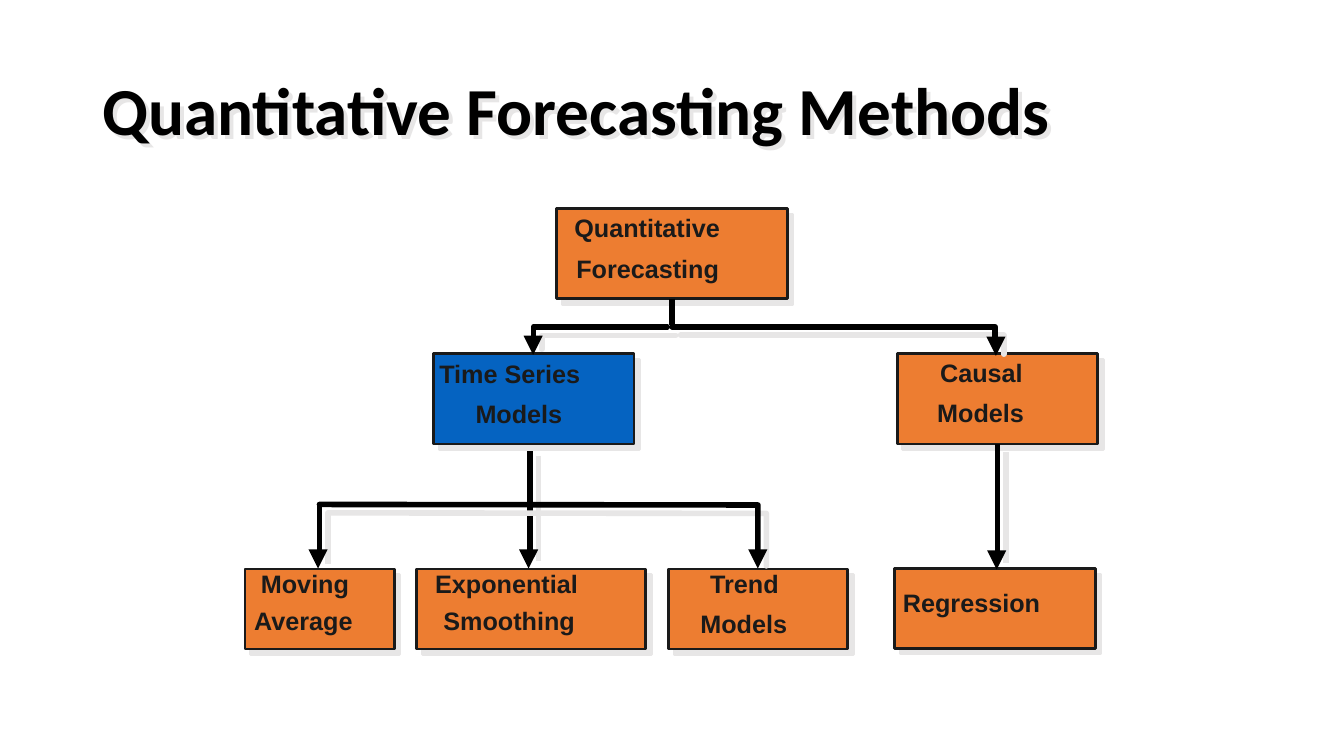
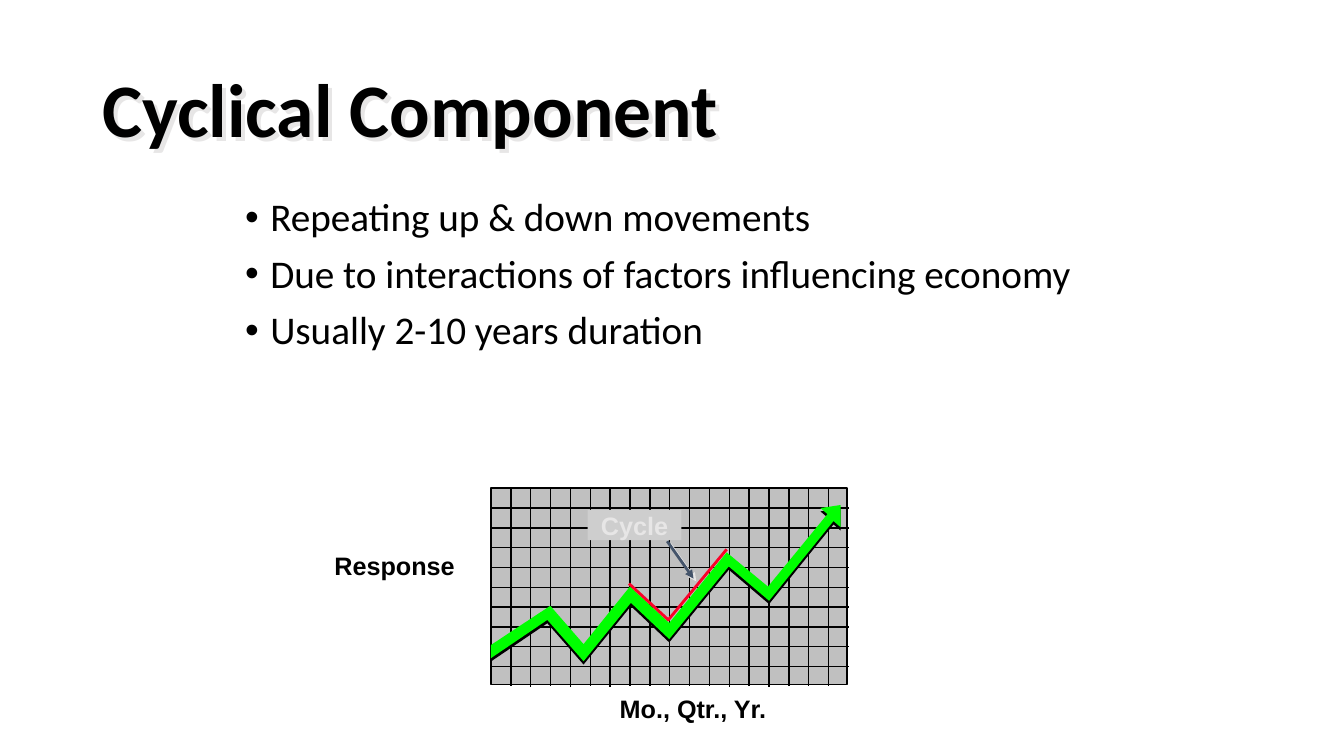
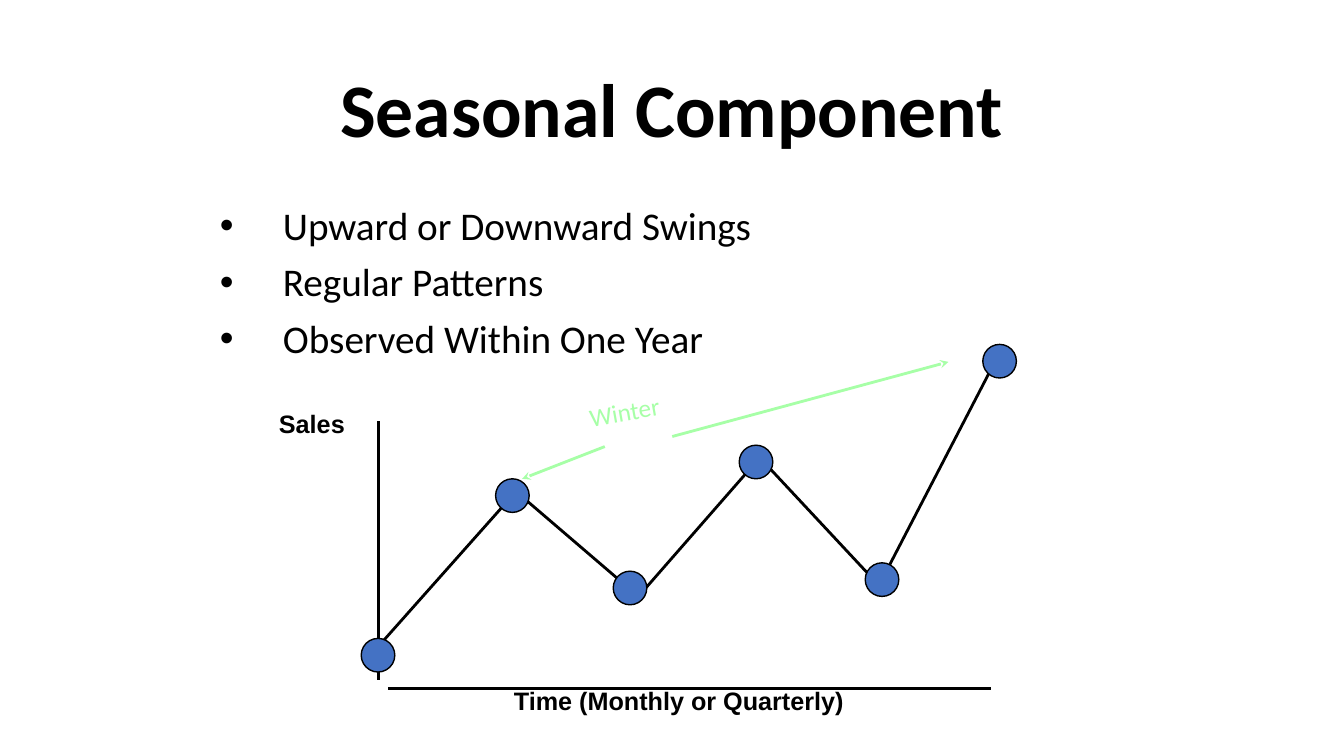
from dataclasses import dataclass, replace
from typing import NamedTuple, Optional, Sequence

from lxml import etree
from pptx import Presentation
from pptx.dml.color import RGBColor
from pptx.enum.shapes import MSO_CONNECTOR, MSO_SHAPE
from pptx.enum.text import MSO_ANCHOR, PP_ALIGN
from pptx.oxml.ns import qn
from pptx.util import Pt

STRAIGHT = MSO_CONNECTOR.STRAIGHT
RECTANGLE, OVAL = MSO_SHAPE.RECTANGLE, MSO_SHAPE.OVAL
DOWN_TRIANGLE = MSO_SHAPE.FLOWCHART_MERGE
LEFT, CENTER = PP_ALIGN.LEFT, PP_ALIGN.CENTER
TOP, MIDDLE = MSO_ANCHOR.TOP, MSO_ANCHOR.MIDDLE
BOTTOM_SIDE = 2


class Point(NamedTuple):
    x: float
    y: float


class Frame(NamedTuple):
    left: float
    top: float
    width: float
    height: float


class BoxLine(NamedTuple):
    text: str
    left: float
    top: float
    width: float


@dataclass(frozen=True)
class Style:
    font: str
    size: float
    color: RGBColor
    bold: bool = False


@dataclass(frozen=True)
class Theme:
    black: RGBColor = RGBColor(0x00, 0x00, 0x00)
    ink: RGBColor = RGBColor(0x1A, 0x1A, 0x1A)
    shadow: RGBColor = RGBColor(0xE7, 0xE6, 0xE6)
    orange: RGBColor = RGBColor(0xED, 0x7D, 0x31)
    focus: RGBColor = RGBColor(0x05, 0x63, 0xC1)
    dot: RGBColor = RGBColor(0x44, 0x72, 0xC4)
    plot: RGBColor = RGBColor(0xC0, 0xC0, 0xC0)
    tag: RGBColor = RGBColor(0xCE, 0xCE, 0xCE)
    trend: RGBColor = RGBColor(0x00, 0xFF, 0x00)
    cycle: RGBColor = RGBColor(0xFC, 0x01, 0x28)
    pointer: RGBColor = RGBColor(0x44, 0x54, 0x6A)
    winter: RGBColor = RGBColor(0xA7, 0xFF, 0xA7)
    heading: str = "Calibri"
    label: str = "Arial"
    title_size: float = 54
    long_title_size: float = 48
    body_size: float = 28
    label_size: float = 18
    title_shadow: float = 4
    box_shadow: float = 5.7
    line_shadow: float = 8.5
    pointer_shadow: float = 2.8


THEME = Theme()
TITLE = Style(THEME.heading, THEME.title_size, THEME.black, bold=True)
BODY = Style(THEME.heading, THEME.body_size, THEME.black)
LABEL = Style(THEME.label, THEME.label_size, THEME.black, bold=True)
BOX_LABEL = replace(LABEL, color=THEME.ink)
TITLE_FRAME = Frame(66, 28.8, 828, 104.4)
LABEL_HEIGHT = 29


@dataclass(frozen=True)
class MethodBox:
    frame: Frame
    lines: Sequence[BoxLine]
    fill: RGBColor = THEME.orange


ROOT = MethodBox(Frame(397.4, 149, 165, 64.5), (
    BoxLine("Quantitative", 403.2, 148.3, 119.5),
    BoxLine("Forecasting", 404.6, 177.3, 117.4)))
TIME_SERIES = MethodBox(Frame(309.6, 252.7, 143.3, 64.5), (
    BoxLine("Time Series", 306.7, 252.3, 115.9),
    BoxLine("Models", 332.6, 280.9, 77)), THEME.focus)
CAUSAL = MethodBox(Frame(640.8, 252.7, 143.3, 64.5), (
    BoxLine("Causal", 664.5, 252, 74.2),
    BoxLine("Models", 662.4, 280.3, 77)))
LEAVES = (
    MethodBox(Frame(175, 406.5, 106.6, 57.2), (
        BoxLine("Moving", 179.3, 402.5, 77.8),
        BoxLine("Average", 174.4, 429.1, 85.7))),
    MethodBox(Frame(297.7, 406.5, 163.5, 57.2), (
        BoxLine("Exponential", 303.8, 402.5, 117.4),
        BoxLine("Smoothing", 309.6, 429.1, 109.4))),
    MethodBox(Frame(477.4, 406.5, 128.2, 57.2), (
        BoxLine("Trend", 500.2, 402.5, 64.1),
        BoxLine("Models", 493.2, 430.8, 77))),
    MethodBox(Frame(639, 406, 143.3, 57.2), (
        BoxLine("Regression", 637.9, 416.2, 113),)),
)

HEAD_SIZE = 13.7
HEAD_TIPS = (Point(380.8, 253.5), Point(711.4, 254.2), Point(227.2, 406.1),
             Point(377.6, 406.1), Point(541.3, 406.1), Point(711.9, 406.8))
BRANCHES = (
    (Point(480.2, 233.5), Point(711, 233.5), Point(711, 247)),
    (Point(476.6, 233.5), Point(381, 233.5), Point(381, 243.4)),
    (Point(228.2, 360.3), Point(541.4, 360.7), Point(541.4, 398.2)),
)

PLOT = Frame(350.8, 348.7, 254.2, 140.4)
COLUMN_STEP, ROW_STEP = 14.18, 14.16
LONG_COLUMNS = {2, 4, 6, 12, 14}
TREND_ARROW = tuple(Point(x, y) for x, y in (
    (350.6, 460.8), (393.1, 432.7), (416.9, 460.1), (450, 419), (478.1, 445),
    (519.1, 394.6), (548.6, 419), (591.1, 367.2), (586.1, 362.9), (600.5, 360.7),
    (600.5, 376.6), (595.4, 372.2), (549.4, 429.1), (520.6, 404.6), (478.1, 456.5),
    (450.7, 430.6), (416.9, 472.3), (391, 442.8), (350.6, 470.2)))
TREND_DROP = 2.4

DOT_SIZE = 24
SEASONS = (Point(270, 468), Point(366, 354), Point(450, 420),
           Point(540, 330), Point(630, 414), Point(714, 258))
AXES = ((Point(270.2, 301), Point(270.2, 486)), (Point(277.2, 492), Point(708, 492)))
SEASON_LINES = (
    (Point(270, 462), Point(366, 354)),
    (Point(372, 354), Point(456, 426)),
    (Point(456.5, 425.5), Point(540, 330)),
    (Point(540, 324), Point(624, 414)),
    (Point(630, 414), Point(714, 252)),
)


def points(values: Sequence[float]) -> list:
    return [Pt(value) for value in values]


def set_shadow(shape, distance: float) -> None:
    """Give a shape a hard shadow to the lower right, or none at distance 0."""
    effects = etree.SubElement(shape._element.spPr, qn("a:effectLst"))
    if distance:
        shadow = etree.SubElement(effects, qn("a:outerShdw"), dist=str(int(Pt(distance))),
                                  dir="2700000", algn="ctr", rotWithShape="0")
        etree.SubElement(shadow, qn("a:srgbClr"), val=str(THEME.shadow))


def paint(shape, fill: Optional[RGBColor], line: Optional[RGBColor] = None,
          weight: float = 1, shadow: float = 0) -> None:
    if fill is None:
        shape.fill.background()
    else:
        shape.fill.solid()
        shape.fill.fore_color.rgb = fill
    if line is None:
        shape.line.fill.background()
    else:
        shape.line.color.rgb = line
        shape.line.width = Pt(weight)
    set_shadow(shape, shadow)


def add_box(shapes, kind, frame: Frame, fill: RGBColor, line: Optional[RGBColor] = None,
            weight: float = 1, shadow: float = 0):
    box = shapes.add_shape(kind, *points(frame))
    paint(box, fill, line, weight, shadow)
    return box


def add_outline(shapes, corners: Sequence[Point], closed: bool = False):
    start, *others = [tuple(points(corner)) for corner in corners]
    builder = shapes.build_freeform(*start)
    builder.add_line_segments(others, close=closed)
    return builder.convert_to_shape()


def add_branch(shapes, corners: Sequence[Point]) -> None:
    """Draw a bent line with round ends and corners."""
    branch = add_outline(shapes, corners)
    paint(branch, None, THEME.black, 4, THEME.line_shadow)
    line = branch.line._get_or_add_ln()
    line.set("cap", "rnd")
    etree.SubElement(line, qn("a:round"))


def add_line(shapes, start: Point, end: Point, color: RGBColor = THEME.black,
             weight: float = 2, shadow: float = 0, arrow: str = ""):
    line = shapes.add_connector(STRAIGHT, *points(start), *points(end))
    line.line.color.rgb = color
    line.line.width = Pt(weight)
    if arrow:
        etree.SubElement(line.line._get_or_add_ln(), qn("a:tailEnd"), type=arrow)
    set_shadow(line, shadow)
    return line


def add_span(para, text: str, style: Style) -> None:
    span = para.add_run()
    span.text = text
    span.font.size = Pt(style.size)
    span.font.bold = style.bold
    span.font.color.rgb = style.color
    span.font.name = style.font


def write(shape, lines: Sequence[str], style: Style, align=LEFT, anchor=TOP,
          insets: Sequence[float] = (7.2, 3.6, 7.2, 3.6), wrap: bool = True) -> list:
    """Put one paragraph per line into a shape and return the paragraphs."""
    frame = shape.text_frame
    frame.word_wrap = wrap
    frame.vertical_anchor = anchor
    (frame.margin_left, frame.margin_top,
     frame.margin_right, frame.margin_bottom) = points(insets)
    for index, text in enumerate(lines):
        para = frame.add_paragraph() if index else frame.paragraphs[0]
        para.alignment = align
        add_span(para, text, style)
    return list(frame.paragraphs)


def add_label(slide, frame: Frame, text: str, style: Style = LABEL, align=LEFT,
              wrap: bool = True):
    box = slide.shapes.add_textbox(*points(frame))
    write(box, [text], style, align, wrap=wrap)
    return box


def add_title(slide, text: str, style: Style = TITLE, align=LEFT, shadow: float = 0) -> None:
    box = slide.shapes.add_textbox(*points(TITLE_FRAME))
    write(box, [text], style, align, MIDDLE)[0].line_spacing = 0.9
    set_shadow(box, shadow)


def add_bullets(slide, frame: Frame, lines: Sequence[str], indent: float) -> None:
    box = slide.shapes.add_textbox(*points(frame))
    for para in write(box, lines, BODY):
        para.line_spacing = 0.9
        para.space_before = Pt(10)
        properties = para._p.get_or_add_pPr()
        properties.set("marL", str(int(Pt(indent))))
        properties.set("indent", str(-int(Pt(indent))))
        etree.SubElement(properties, qn("a:buFont"), typeface="Arial")
        etree.SubElement(properties, qn("a:buChar"), char="•")


def add_method(slide, method: MethodBox):
    box = add_box(slide.shapes, RECTANGLE, method.frame, method.fill, THEME.ink, 2,
                  THEME.box_shadow)
    for line in method.lines:
        frame = Frame(line.left, line.top, line.width, LABEL_HEIGHT)
        add_label(slide, frame, line.text, BOX_LABEL, wrap=False)
    return box


def add_stem(slide, method: MethodBox, box, bottom: float, shadow: float = 0) -> None:
    """Draw a vertical line down from the middle of a box's lower side."""
    frame = method.frame
    center = frame.left + frame.width / 2
    stem = add_line(slide.shapes, Point(center, frame.top + frame.height),
                    Point(center, bottom), weight=4, shadow=shadow)
    stem.begin_connect(box, BOTTOM_SIDE)


def build_methods(slide) -> None:
    shapes = slide.shapes
    add_title(slide, "Quantitative Forecasting Methods",
              replace(TITLE, size=THEME.long_title_size), shadow=THEME.title_shadow)
    for start, end in ((Point(378.7, 319.7), Point(378.7, 394.6)),
                       (Point(228.2, 360.7), Point(228.2, 396.7))):
        add_line(shapes, start, end, weight=4, shadow=THEME.line_shadow)
    root, causal = add_method(slide, ROOT), add_method(slide, CAUSAL)
    for method in (TIME_SERIES, *LEAVES):
        add_method(slide, method)
    add_stem(slide, CAUSAL, causal, 396, THEME.line_shadow)
    for branch in BRANCHES:
        add_branch(shapes, branch)
    add_stem(slide, ROOT, root, 231.8)
    for tip in HEAD_TIPS:
        frame = Frame(tip.x - HEAD_SIZE / 2, tip.y - HEAD_SIZE, HEAD_SIZE, HEAD_SIZE)
        add_box(shapes, DOWN_TRIANGLE, frame, THEME.black)


def draw_grid(shapes) -> None:
    add_box(shapes, RECTANGLE, PLOT, THEME.plot, THEME.black)
    for column in range(1, 18):
        x = PLOT.left + column * COLUMN_STEP
        top, bottom = (348, 491) if column in LONG_COLUMNS else (349.2, 490.3)
        add_line(shapes, Point(x, top), Point(x, bottom), weight=1)
    for row in range(1, 10):
        y = PLOT.top + row * ROW_STEP
        add_line(shapes, Point(351.4, y), Point(606.2, y), weight=1)


def build_cyclical(slide) -> None:
    shapes = slide.shapes
    draw_grid(shapes.add_group_shape().shapes)
    trend = shapes.add_group_shape().shapes
    for drop, color in ((TREND_DROP, THEME.black), (0, THEME.trend)):
        corners = [Point(corner.x, corner.y + drop) for corner in TREND_ARROW]
        paint(add_outline(trend, corners, closed=True), color)
    add_title(slide, "Cyclical Component", shadow=THEME.title_shadow)
    add_bullets(slide, Frame(168, 138, 642, 324), (
        "Repeating up & down movements",
        "Due to interactions of factors influencing economy",
        "Usually 2-10 years duration"), 18)
    add_label(slide, Frame(407.5, 491.8, 175, LABEL_HEIGHT), "Mo., Qtr., Yr.", align=CENTER)
    add_label(slide, Frame(209.5, 389.5, 144.7, LABEL_HEIGHT), "Response", align=CENTER)
    tag = add_box(shapes, RECTANGLE, Frame(419.8, 364.3, 67, 21.6), THEME.tag)
    write(tag, ["Cycle"], replace(LABEL, color=THEME.shadow), CENTER, MIDDLE, (0, 0, 0, 0))
    cycle = (Point(449.3, 416.9), Point(477.4, 442.8), Point(519.1, 392.4))
    paint(add_outline(shapes, cycle), None, THEME.cycle, 2)
    add_line(shapes, Point(476.6, 386.6), Point(495.4, 413.3), THEME.pointer,
             shadow=THEME.pointer_shadow, arrow="triangle")


def build_seasonal(slide) -> None:
    shapes = slide.shapes
    add_title(slide, "Seasonal Component", align=CENTER)
    add_bullets(slide, Frame(150, 144, 690, 324), (
        "Upward or Downward Swings",
        "Regular Patterns",
        "Observed Within One Year"), 45)
    for start, end in (*AXES, *SEASON_LINES):
        add_line(shapes, start, end)
    add_label(slide, Frame(192.2, 288, 114, LABEL_HEIGHT), "Sales")
    add_label(slide, Frame(360, 486, 353.5, LABEL_HEIGHT), "Time (Monthly or Quarterly)")
    for center in SEASONS:
        frame = Frame(center.x - DOT_SIZE / 2, center.y - DOT_SIZE / 2, DOT_SIZE, DOT_SIZE)
        add_box(shapes, OVAL, frame, THEME.dot, THEME.black)
    winter = add_label(slide, Frame(384.5, 279.4, 123, LABEL_HEIGHT), "Winter",
                       Style(THEME.heading, THEME.label_size, THEME.winter), CENTER)
    winter.rotation = 350
    for start, end in ((Point(432, 319), Point(373, 342)),
                       (Point(480.2, 311.8), Point(677.5, 258.5))):
        add_line(shapes, start, end, THEME.winter, arrow="stealth")


def main() -> None:
    deck = Presentation()
    deck.slide_width, deck.slide_height = Pt(960), Pt(540)
    blank = deck.slide_layouts[6]
    for build in (build_methods, build_cyclical, build_seasonal):
        build(deck.slides.add_slide(blank))
    deck.save("out.pptx")


if __name__ == "__main__":
    main()
